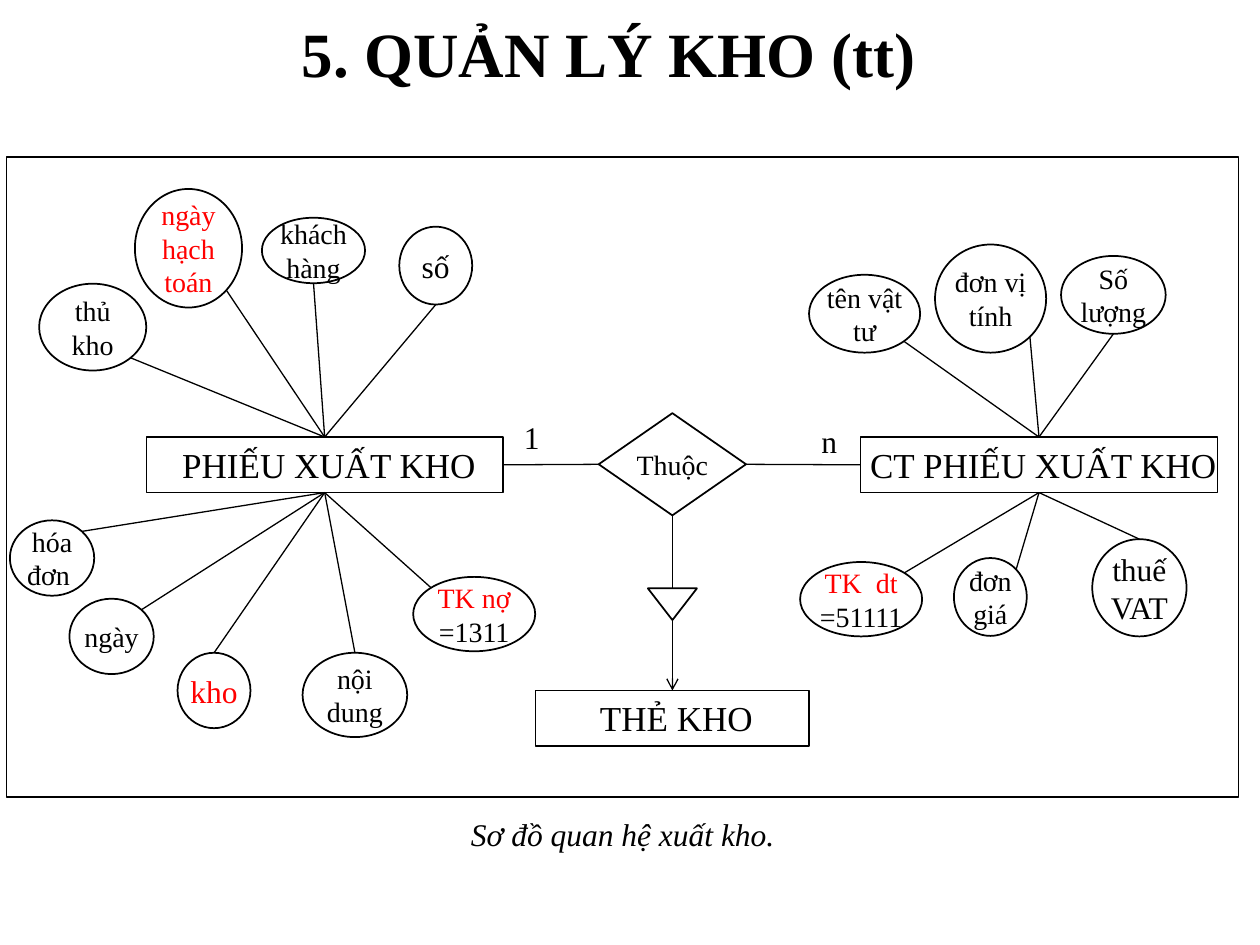
"""Build the stock-issue entity relationship slide."""
from dataclasses import dataclass
from typing import Optional

from lxml.etree import SubElement
from pptx import Presentation
from pptx.dml.color import RGBColor
from pptx.enum.shapes import MSO_CONNECTOR, MSO_SHAPE
from pptx.enum.text import MSO_ANCHOR, MSO_AUTO_SIZE, PP_ALIGN
from pptx.oxml.ns import qn
from pptx.util import Cm, Pt

FONT = "Times New Roman"
HEX = {"ink": "000000", "red": "FF0000"}
DIAG = 0.3536
PORTS = {
    "n": (0.5, 0), "s": (0.5, 1), "w": (0, 0.5), "e": (1, 0.5),
    "nw": (0.5 - DIAG, 0.5 - DIAG), "ne": (0.5 + DIAG, 0.5 - DIAG),
    "se": (0.5 + DIAG, 0.5 + DIAG),
}


@dataclass
class Box:
    x: float
    y: float
    w: float
    h: float

    def port(self, side: str) -> tuple[float, float]:
        fx, fy = PORTS[side]
        return self.x + self.w * fx, self.y + self.h * fy


@dataclass
class Field:
    text: str
    box: Box
    side: str
    size: int = 16
    tone: str = "ink"


@dataclass
class Label:
    text: str
    box: Box
    size: int = 18
    align: Optional[PP_ALIGN] = PP_ALIGN.CENTER
    bold: bool = False
    slant: bool = False


ISSUE = Box(2.95, 8.81, 7.19, 1.12)
DETAIL = Box(17.35, 8.81, 7.19, 1.12)
CARD = Box(10.8, 13.92, 5.51, 1.12)
BOND = Box(12.07, 8.33, 2.97, 2.06)
WEDGE = Box(13.06, 11.86, 0.99, 0.64)
FRAME = Box(0.13, 3.17, 24.84, 12.9)

TABLES = [
    (" PHIẾU XUẤT KHO", ISSUE, [
        Field("thủ kho", Box(0.79, 5.72, 2.16, 1.75), "se"),
        Field("ngày hạch toán", Box(2.72, 3.81, 2.16, 2.39), "se", tone="red"),
        Field("khách hàng", Box(5.28, 4.39, 2.08, 1.32), "s"),
        Field("số", Box(8.05, 4.57, 1.47, 1.57), "s", 18),
        Field("hóa đơn ", Box(0.2, 10.49, 1.7, 1.52), "ne"),
        Field("ngày", Box(1.4, 12.07, 1.7, 1.52), "ne"),
        Field("kho", Box(3.58, 13.16, 1.47, 1.52), "n", 18, "red"),
        Field("nội dung", Box(6.1, 13.16, 2.11, 1.7), "n"),
        Field("TK nợ\n=1311", Box(8.33, 11.63, 2.46, 1.5), "nw", tone="red"),
    ]),
    (" CT PHIẾU XUẤT KHO", DETAIL, [
        Field("tên vật tư", Box(16.31, 5.54, 2.24, 1.57), "se"),
        Field("đơn vị tính", Box(18.85, 4.93, 2.24, 2.18), "se"),
        Field("Số lượng", Box(21.39, 5.16, 2.11, 1.57), "s"),
        Field("TK  dt\n=51111", Box(16.13, 11.33, 2.46, 1.5), "ne", tone="red"),
        Field("đơn giá", Box(19.23, 11.25, 1.47, 1.57), "ne"),
        Field("thuế VAT", Box(22.02, 10.87, 1.9, 1.96), "n", 18),
    ]),
    (" THẺ KHO", CARD, []),
]

LABELS = [
    Label("5. QUẢN LÝ KHO (tt)", Box(0.84, 0, 22.86, 2.12), 36, bold=True),
    Label("1", Box(10.31, 8.31, 0.97, 1.02), align=None),
    Label("n", Box(16.31, 8.38, 0.97, 1.02), align=None),
    Label("Sơ đồ quan hệ xuất kho.", Box(6.93, 16.31, 11.25, 1.02), slant=True),
]

deck = Presentation()
deck.slide_width, deck.slide_height = Cm(25.4), Cm(19.05)
slide = deck.slides.add_slide(deck.slide_layouts[6])


def rgb(tone: str) -> RGBColor:
    return RGBColor.from_string(HEX[tone])


def place(box: Box) -> tuple:
    return Cm(box.x), Cm(box.y), Cm(box.w), Cm(box.h)


def write(frame, text: str, size: int, align=PP_ALIGN.CENTER, tone="ink",
          bold=False, slant=False) -> None:
    frame.word_wrap = True
    frame.text = text
    for i, para in enumerate(frame.paragraphs):
        para.alignment = align
        for run in para.runs:
            font = run.font
            font.name, font.size = FONT, Pt(size)
            font.bold, font.italic = bold, slant
            font.color.rgb = rgb(tone if i == 0 else "ink")


def draw(kind: MSO_SHAPE, box: Box, width: float = 1):
    shape = slide.shapes.add_shape(kind, *place(box))
    shape.shadow.inherit = False
    shape.fill.background()
    shape.line.color.rgb = rgb("ink")
    shape.line.width = Pt(width)
    return shape


def node(kind: MSO_SHAPE, box: Box, text: str, size: int, tone="ink",
         width: float = 1, pad: float = 0, anchor=MSO_ANCHOR.MIDDLE) -> None:
    frame = draw(kind, box, width).text_frame
    frame.margin_left = frame.margin_right = 0
    frame.margin_top = frame.margin_bottom = Cm(pad)
    frame.vertical_anchor = anchor
    write(frame, text, size, tone=tone)


def link(start: tuple[float, float], end: tuple[float, float], arrow=False) -> None:
    ends = [Cm(n) for n in (*start, *end)]
    line = slide.shapes.add_connector(MSO_CONNECTOR.STRAIGHT, *ends)
    line.line.color.rgb = rgb("ink")
    line.line.width = Pt(0.75)
    if arrow:
        SubElement(line.line._get_or_add_ln(), qn("a:tailEnd"), type="arrow")
    SubElement(line._element.spPr, qn("a:effectLst"))


def label(item: Label) -> None:
    frame = slide.shapes.add_textbox(*place(item.box)).text_frame
    write(frame, item.text, item.size, item.align, bold=item.bold, slant=item.slant)
    if item.bold:
        frame.vertical_anchor = MSO_ANCHOR.MIDDLE
    else:
        frame.auto_size = MSO_AUTO_SIZE.SHAPE_TO_FIT_TEXT


draw(MSO_SHAPE.RECTANGLE, FRAME)
for name, base, fields in TABLES:
    node(MSO_SHAPE.RECTANGLE, base, name, 20, width=0.75, pad=0.13,
         anchor=MSO_ANCHOR.TOP)
    for field in fields:
        node(MSO_SHAPE.OVAL, field.box, field.text, field.size, field.tone)
        side = "n" if field.box.y < base.y else "s"
        link(field.box.port(field.side), base.port(side))

node(MSO_SHAPE.DIAMOND, BOND, "Thuộc", 16)
draw(MSO_SHAPE.ISOSCELES_TRIANGLE, WEDGE).rotation = 180
link(ISSUE.port("e"), BOND.port("w"))
link(BOND.port("e"), DETAIL.port("w"))
link(BOND.port("s"), WEDGE.port("n"))
link(WEDGE.port("s"), CARD.port("n"), arrow=True)
for item in LABELS:
    label(item)

deck.save("out.pptx")
